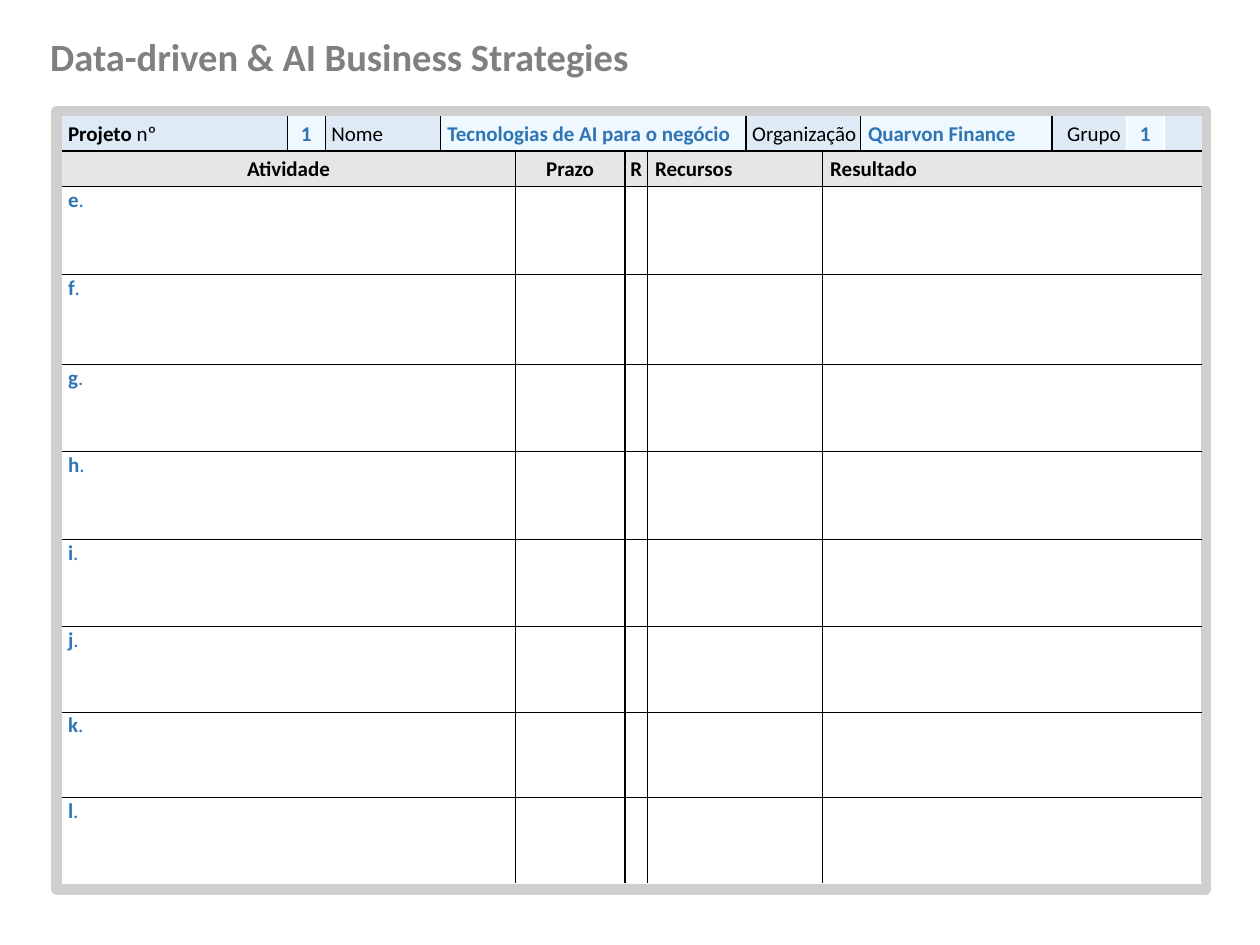
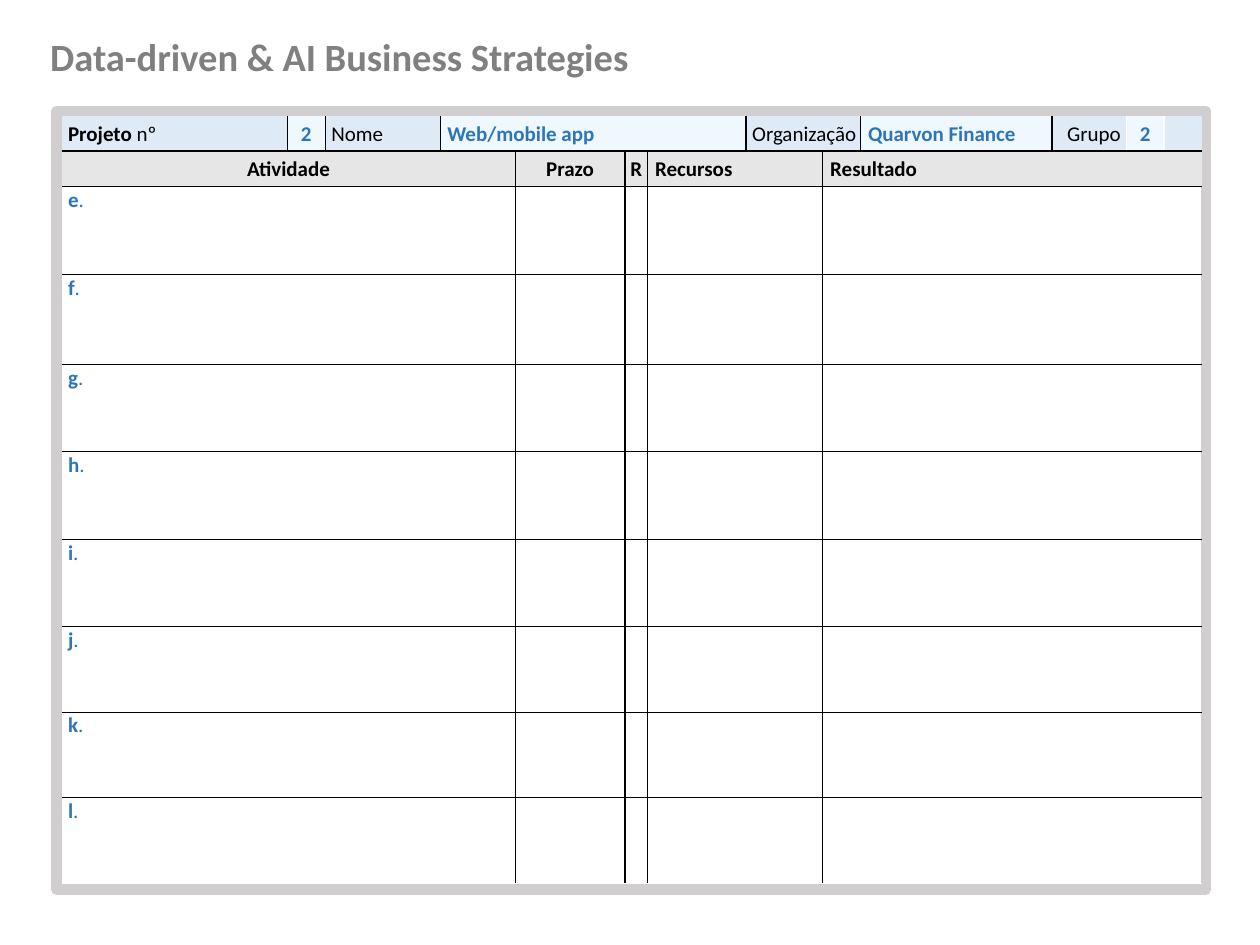
"""Build the two project planning sheets."""
from dataclasses import dataclass

from lxml import etree
from pptx import Presentation, dml, util as u
from pptx.dml import color as colors
from pptx.enum import shapes, text
from pptx.oxml import ns


@dataclass(frozen=True)
class Theme:
    font: str = "Calibri"
    title_size: float = 22
    body_size: float = 12
    title: str = "808080"
    frame: str = "D0CECE"
    ink: str = "000000"
    answer: str = "2E75B6"
    label_fill: str = "DEEBF7"
    answer_fill: str = "EFF7FF"
    heading_fill: str = "E7E6E6"
    white: str = "FFFFFF"


THEME = Theme()
THIN, THICK, WHITE = (THEME.ink, 0.25), (THEME.ink, 1), (THEME.white, 1)
LAST_EDGE = (THEME.white, 0.25)
CENTER = text.PP_ALIGN.CENTER

COLUMNS = [1.79, 0.3, 0.91, 0.6, 0.87, 0.18, 0.78, 0.61, 0.3, 1.52, 0.59, 0.3, 0.3]
ROWS = [0.28, 0.28, 0.7, 0.71, 0.69, 0.7, 0.69, 0.68, 0.68, 0.68]
PROJECT_SPANS = [1, 1, 1, 4, 2, 1, 1, 1, 1]
PROJECT_EDGES = [THIN, THIN, THIN, THICK, THIN, THICK, WHITE, WHITE]
ACTIVITY_SPANS = [4, 1, 1, 2, 5]
ACTIVITY_EDGES = [THICK] * 4
HEADINGS = ["Atividade", "Prazo", "R", "Recursos", "Resultado"]
LETTERS = "efghijkl"
PROJECTS = [("1", "Tecnologias de AI para o negócio"), ("2", "Web/mobile app")]


def write(paragraph, content, *, size=THEME.body_size, color=THEME.ink, bold=False, align=None):
    paragraph.alignment = align
    if not content:
        etree.SubElement(paragraph._p, ns.qn("a:endParaRPr"), sz=str(int(size * 100)))
        return
    run = paragraph.add_run()
    run.text = content
    run.font.name, run.font.size, run.font.bold = THEME.font, u.Pt(size), bold
    run.font.color.rgb = colors.RGBColor.from_string(color)


def draw_borders(cell, left, right, top, bottom):
    properties = cell._tc.get_or_add_tcPr()
    for side, edge in zip("LRTB", (left, right, top, bottom)):
        line = etree.SubElement(properties, ns.qn(f"a:ln{side}"))
        if edge is None:
            etree.SubElement(line, ns.qn("a:noFill"))
            continue
        color, width = edge
        line.set("w", str(u.Pt(width)))
        solid = etree.SubElement(line, ns.qn("a:solidFill"))
        etree.SubElement(solid, ns.qn("a:srgbClr"), val=color)


class Sheet:
    def __init__(self, deck, theme):
        self.theme = theme
        self.slide = deck.slides.add_slide(deck.slide_layouts[6])

    def frame(self):
        border = self.slide.shapes.add_shape(
            shapes.MSO_SHAPE.RECTANGLE, u.Inches(0.45), u.Inches(0.88), u.Inches(9.12), u.Inches(6.18))
        border.shadow.inherit = False
        border.fill.background()
        border.line.color.rgb = colors.RGBColor.from_string(self.theme.frame)
        border.line.width = u.Pt(6)

    def title(self, content):
        heading = self.slide.shapes.add_textbox(
            u.Inches(0.3), u.Inches(0.21), u.Inches(4.98), u.Inches(0.47)).text_frame
        heading.word_wrap = True
        heading.paragraphs[0].space_after = u.Pt(2)
        write(heading.paragraphs[0], content, size=self.theme.title_size,
              color=self.theme.title, bold=True)

    def grid(self):
        plan = self.slide.shapes.add_table(
            len(ROWS), len(COLUMNS), u.Inches(0.49), u.Inches(0.92),
            u.Inches(sum(COLUMNS)), u.Inches(sum(ROWS))).table
        plan.first_row = plan.horz_banding = False
        for column, width in zip(plan.columns, COLUMNS):
            column.width = u.Inches(width)
        for row, height in zip(plan.rows, ROWS):
            row.height = u.Inches(height)
        return plan

    def row(self, plan, index, spans, edges, top, bottom, fills, entries):
        """Fill one row; each entry is (left inset, runs, alignment)."""
        column = 0
        for span, left, right, fill, (inset, runs, align) in zip(
                spans, [None, *edges], [*edges, None], fills, entries):
            cell = plan.cell(index, column)
            if span > 1:
                cell.merge(plan.cell(index, column + span - 1))
            draw_borders(cell, left, right, top, bottom)
            if fill:
                cell.fill.solid()
                cell.fill.fore_color.rgb = colors.RGBColor.from_string(fill)
                cell.vertical_anchor = text.MSO_ANCHOR.MIDDLE
            else:
                cell.fill.background()
            cell.margin_left = u.Inches(inset)
            cell.margin_top = cell.margin_right = u.Inches(0.01)
            cell.margin_bottom = 0
            for content, color, bold in runs:
                write(cell.text_frame.paragraphs[0], content, color=color, bold=bold, align=align)
            column += span

    def plan(self, number, name):
        theme = self.theme
        plan = self.grid()

        def label(content, inset=0.05):
            return inset, [(content, theme.ink, False)], None

        def answer(content, inset=0.06, align=None):
            return inset, [(content, theme.answer, True)], align

        numbered = answer(number, 0.01, CENTER)
        project = [
            (0.05, [("Projeto ", theme.ink, True), ("nº", theme.ink, False)], None),
            numbered, label("Nome"), answer(name), label("Organização"),
            answer("Quarvon Finance"), label("Grupo", 0.12), numbered, label("")]
        project_fills = [theme.label_fill, theme.answer_fill] * 4 + [theme.label_fill]
        self.row(plan, 0, PROJECT_SPANS, PROJECT_EDGES, None, THICK, project_fills, project)

        headings = [(0.01 if place < 3 else 0.06, [(heading, theme.ink, True)],
                     CENTER if place < 3 else None) for place, heading in enumerate(HEADINGS)]
        self.row(plan, 1, ACTIVITY_SPANS, ACTIVITY_EDGES, THICK, THIN,
                 [theme.heading_fill] * 5, headings)

        for index, letter in enumerate(LETTERS, start=2):
            activity = (0.05, [(letter, theme.answer, True), (".", theme.answer, False)], None)
            bottom = LAST_EDGE if letter == LETTERS[-1] else THIN
            self.row(plan, index, ACTIVITY_SPANS, ACTIVITY_EDGES, THIN, bottom,
                     [None] * 5, [activity] + [label("")] * 4)


def main():
    deck = Presentation()
    deck.slide_width, deck.slide_height = u.Inches(10), u.Inches(7.5)
    for number, name in PROJECTS:
        sheet = Sheet(deck, THEME)
        sheet.frame()
        sheet.title("Data-driven & AI Business Strategies")
        sheet.plan(number, name)
    deck.save("out.pptx")


if __name__ == "__main__":
    main()
